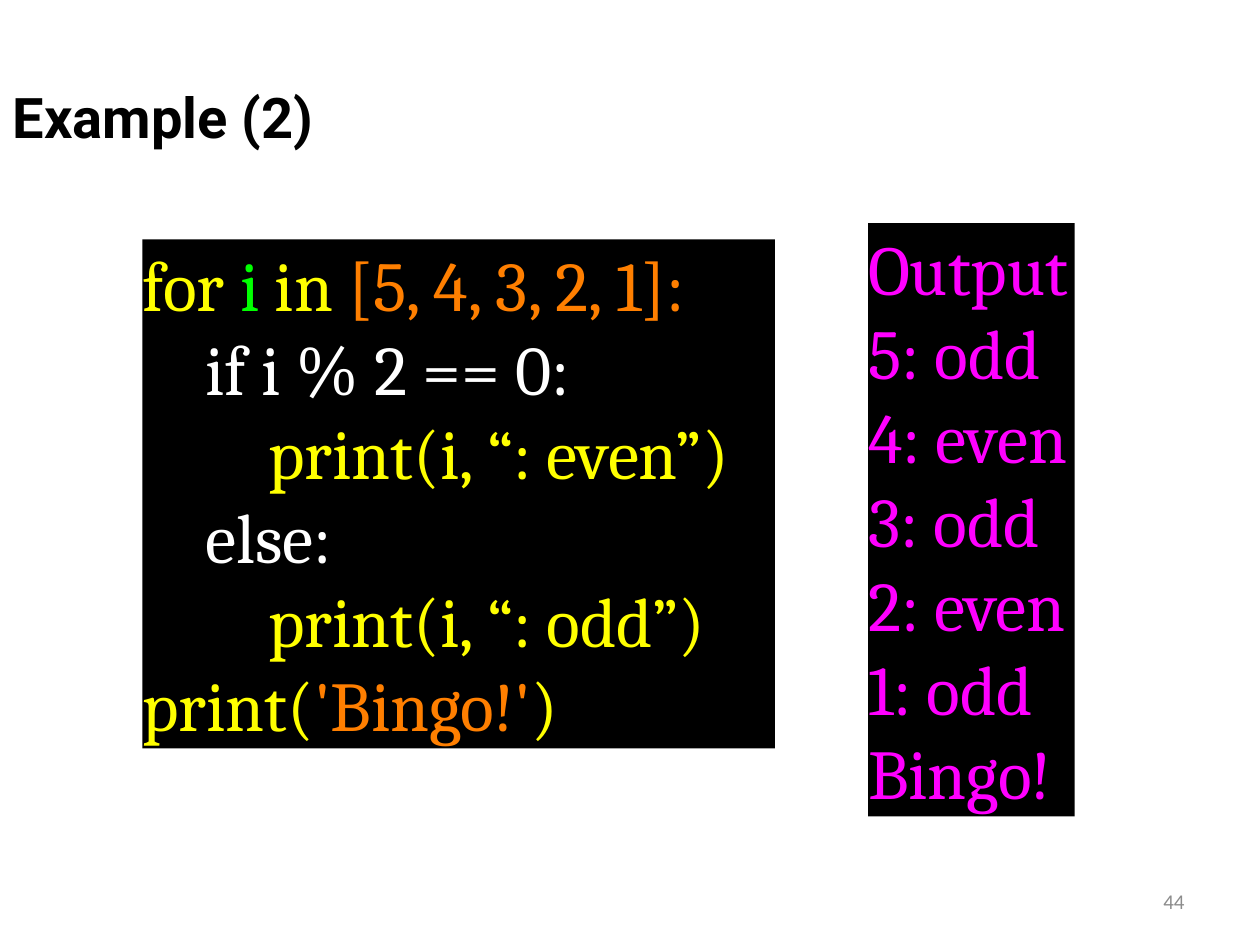
from pptx import Presentation
from pptx.dml.color import RGBColor
from pptx.enum.shapes import MSO_SHAPE
from pptx.enum.text import MSO_ANCHOR, PP_ALIGN
from pptx.oxml.ns import qn
from pptx.util import Inches, Pt
from lxml.etree import SubElement

BLACK, WHITE, GREY = "000000", "FFFFFF", "8C8C8C"
YELLOW, GREEN, ORANGE, MAGENTA = "FFFF00", "00FF00", "FF7F00", "FF00FF"

TITLE = [[("Example (2)", BLACK)]]
NUMBER = [[("44", GREY)]]
CODE = [
    [("for ", YELLOW), ("i ", GREEN), ("in ", YELLOW), ("[5, 4, 3, 2, 1]:", ORANGE)],
    [("\tif i % 2 == 0:", WHITE)],
    [("\t\tprint(i, “: even”)", YELLOW)],
    [("\telse:", WHITE)],
    [("\t\tprint(i, “: odd”)", YELLOW)],
    [("print(", YELLOW), ("'Bingo!'", ORANGE), (")", YELLOW)],
]
OUTPUT = [[(line, MAGENTA)] for line in (
    "Output", "5: odd", "4: even", "3: odd", "2: even", "1: odd", "Bingo!")]
PANELS = [((1.13, 1.9, 5.02, 4.04), CODE), ((6.89, 1.77, 1.64, 4.71), OUTPUT)]
TAB_STOPS = (0.5, 1)


def rgb(color):
    """Turn a hex string into a colour."""
    return RGBColor.from_string(color)


def add_tabs(p):
    """Set the code indentation stops of a paragraph."""
    tabs = SubElement(p._p.get_or_add_pPr(), qn("a:tabLst"))
    for stop in TAB_STOPS:
        SubElement(tabs, qn("a:tab"), pos=str(Inches(stop)), algn="l")


def write(sp, lines, font, size, align=PP_ALIGN.LEFT, bold=False):
    """Fill a shape with lines of coloured runs."""
    tf = sp.text_frame
    tf.word_wrap = True
    tf.vertical_anchor = MSO_ANCHOR.MIDDLE
    for i, line in enumerate(lines):
        p = tf.add_paragraph() if i else tf.paragraphs[0]
        p.alignment = align
        if line[0][0].startswith("\t"):
            add_tabs(p)
        for text, color in line:
            r = p.add_run()
            r.text = text
            r.font.name, r.font.size, r.font.bold = font, Pt(size), bold
            r.font.color.rgb = rgb(color)


def add_panel(s, box, lines):
    """Add a black panel of large text without margins."""
    sp = s.shapes.add_shape(MSO_SHAPE.RECTANGLE, *map(Inches, box))
    sp.shadow.inherit = False
    sp.fill.solid()
    sp.fill.fore_color.rgb = rgb(BLACK)
    sp.line.fill.background()
    tf = sp.text_frame
    tf.margin_left = tf.margin_right = tf.margin_top = tf.margin_bottom = 0
    write(sp, lines, "Cambria", 40)


def main():
    """Build the slide and save it."""
    prs = Presentation()
    prs.slide_width, prs.slide_height = Inches(10), Inches(7.5)
    s = prs.slides.add_slide(prs.slide_layouts[5])
    title = s.shapes.title
    title.left, title.top, title.width, title.height = map(Inches, (0, 0.3, 9, 1.25))
    write(title, TITLE, "Roboto", 32, bold=True)
    number = s.shapes.add_textbox(*map(Inches, (7.17, 6.95, 2.33, 0.4)))
    write(number, NUMBER, "Calibri", 12, PP_ALIGN.RIGHT)
    for box, lines in PANELS:
        add_panel(s, box, lines)
    prs.save("out.pptx")


if __name__ == "__main__":
    main()
